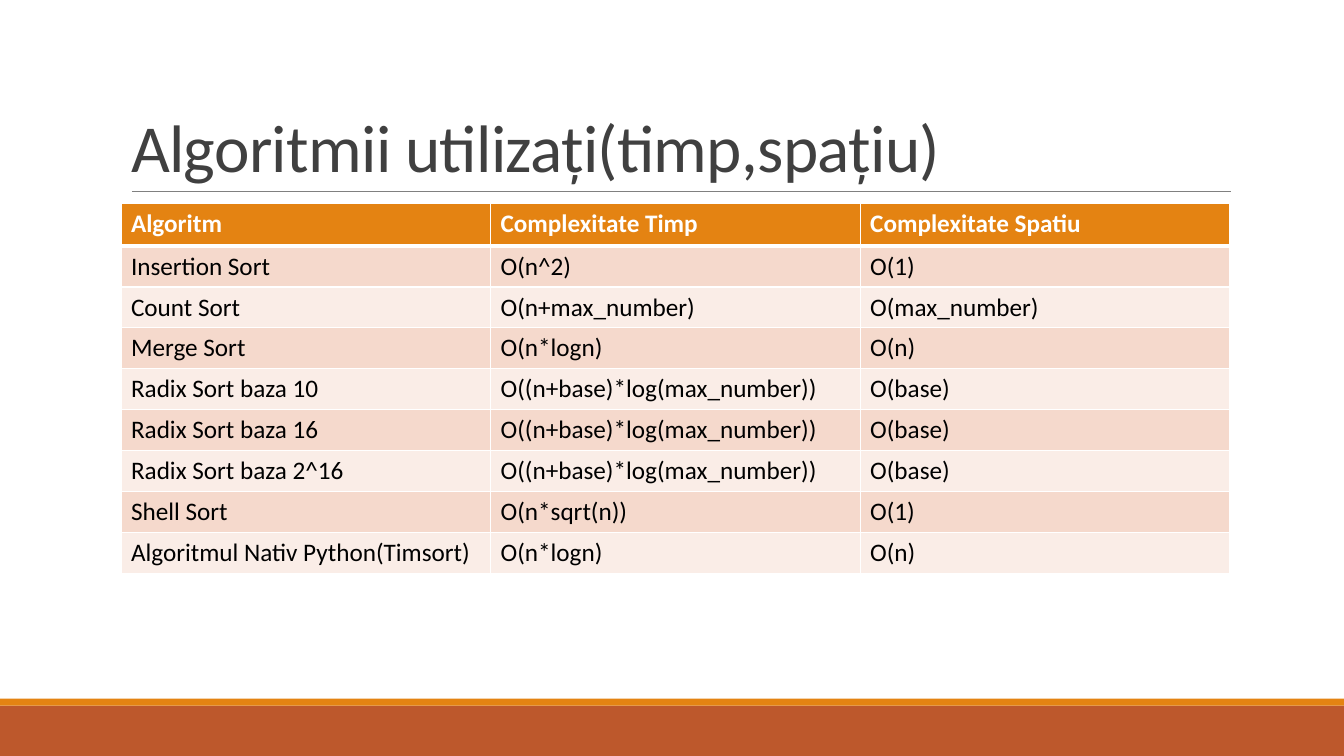
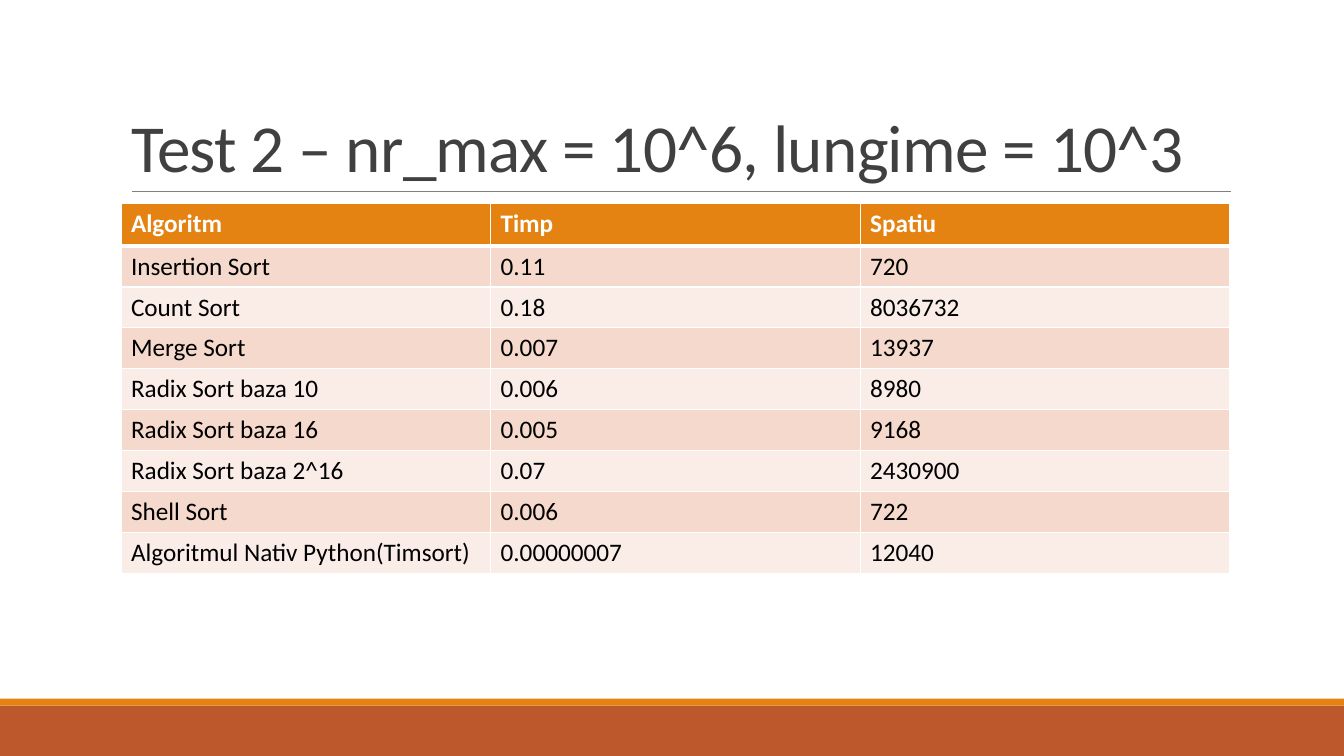
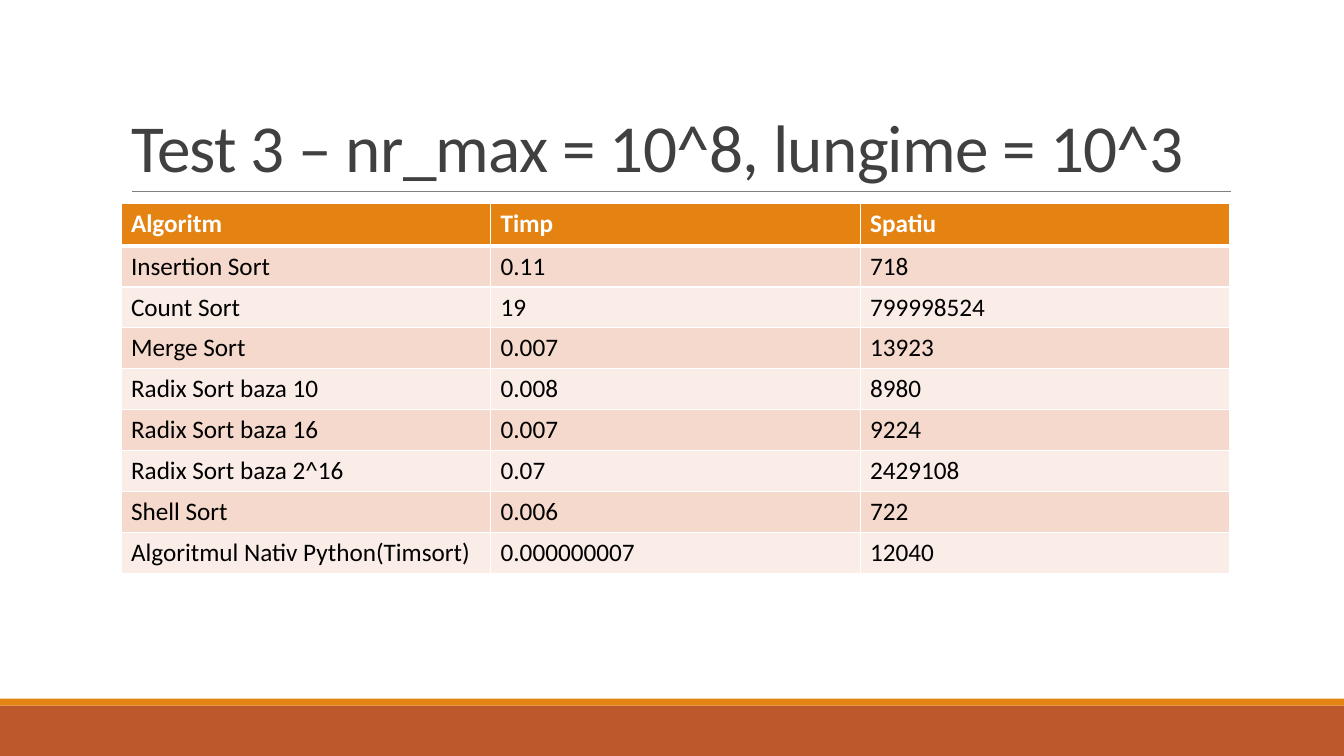
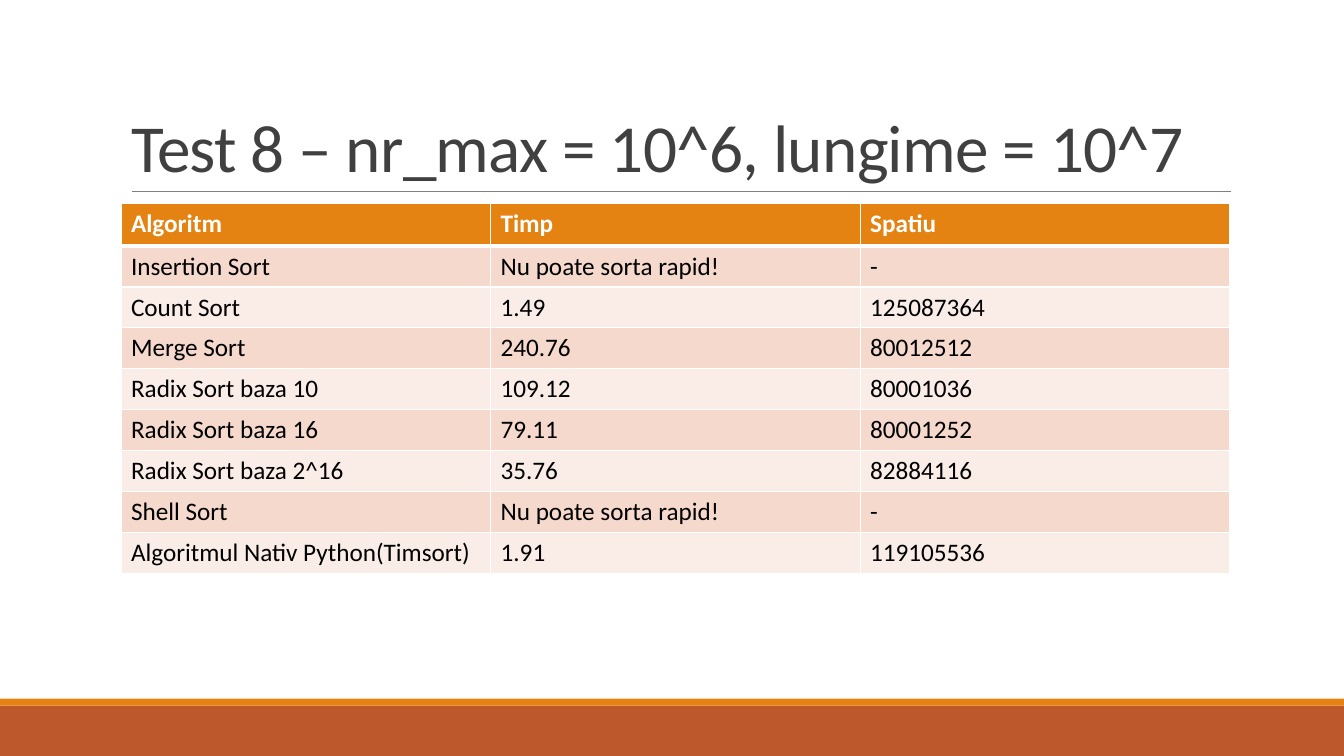
from lxml import etree
from pptx import Presentation
from pptx.dml.color import RGBColor
from pptx.enum import shapes, text
from pptx.oxml import ns
from pptx.util import Pt

# Content
ALGORITHMS = ["Insertion Sort", "Count Sort", "Merge Sort", "Radix Sort baza 10",
              "Radix Sort baza 16", "Radix Sort baza 2^16", "Shell Sort",
              "Algoritmul Nativ Python(Timsort)"]
RADIX_TIME = "O((n+base)*log(max_number))"
TOO_SLOW = "Nu poate sorta rapid!"
MEASURES = ("Timp", "Spatiu")

SLIDES = [
    {"title": "Algoritmii utilizați(timp,spațiu)",
     "measures": ("Complexitate Timp", "Complexitate Spatiu"),
     "time": ["O(n^2)", "O(n+max_number)", "O(n*logn)", RADIX_TIME, RADIX_TIME, RADIX_TIME,
              "O(n*sqrt(n))", "O(n*logn)"],
     "space": ["O(1)", "O(max_number)", "O(n)", "O(base)", "O(base)", "O(base)", "O(1)", "O(n)"]},
    {"title": "Test 2 – nr_max = 10^6, lungime = 10^3",
     "measures": MEASURES,
     "time": ["0.11", "0.18", "0.007", "0.006", "0.005", "0.07", "0.006", "0.00000007"],
     "space": ["720", "8036732", "13937", "8980", "9168", "2430900", "722", "12040"]},
    {"title": "Test 3 – nr_max = 10^8, lungime = 10^3",
     "measures": MEASURES,
     "time": ["0.11", "19", "0.007", "0.008", "0.007", "0.07", "0.006", "0.000000007"],
     "space": ["718", "799998524", "13923", "8980", "9224", "2429108", "722", "12040"]},
    {"title": "Test 8 – nr_max = 10^6, lungime = 10^7",
     "measures": MEASURES,
     "time": [TOO_SLOW, "1.49", "240.76", "109.12", "79.11", "35.76", TOO_SLOW, "1.91"],
     "space": ["-", "125087364", "80012512", "80001036", "80001252", "82884116", "-",
               "119105536"]},
]

# Shared look, lengths in points
WIDTH, HEIGHT = 960, 540
LEFT, CONTENT_WIDTH = 86.4, 792
TITLE_TOP, RULE_TOP = 22.4, 136.8
RULE_LEFT, RULE_RIGHT = 94.3, 879.1
TABLE_TOP, HEADER_HEIGHT, ROW_HEIGHT = 145.5, 30.25, 29.25
BANDS = [(504, 36, "BD582C"), (499, 5, "E48312")]
WHITE, RULE_COLOR = "FFFFFF", "808080"
HEADER_FILL, ROW_FILLS = "E48312", ("F5D9CC", "FAEDE7")
TITLE_FONT = {"name": "Calibri", "size": Pt(48), "bold": False, "color": "404040"}
HEADER_FONT = {"name": "Calibri", "size": Pt(18), "bold": True, "color": WHITE}
BODY_FONT = {**HEADER_FONT, "bold": False, "color": "000000"}


def rgb(value):
    return RGBColor.from_string(value)


def write(frame, words, font):
    paragraph = frame.paragraphs[0]
    paragraph.alignment = text.PP_ALIGN.LEFT
    run = paragraph.add_run()
    run.text = words
    for name, value in font.items():
        if name == "color":
            run.font.color.rgb = rgb(value)
        else:
            setattr(run.font, name, value)
    return paragraph, run


def add_frame(slide):
    # Bottom bands
    for top, height, color in BANDS:
        band = slide.shapes.add_shape(shapes.MSO_SHAPE.RECTANGLE,
                                      0, Pt(top), Pt(WIDTH), Pt(height))
        band.shadow.inherit = False
        band.fill.solid()
        band.fill.fore_color.rgb = rgb(color)
        band.line.fill.background()
    # Rule under the title
    rule = slide.shapes.add_connector(shapes.MSO_CONNECTOR.STRAIGHT, Pt(RULE_LEFT),
                                      Pt(RULE_TOP), Pt(RULE_RIGHT), Pt(RULE_TOP))
    rule.line.color.rgb = rgb(RULE_COLOR)
    rule.line.width = Pt(0.5)
    etree.SubElement(rule._element.spPr, ns.qn("a:effectLst"))


def set_title(slide, words):
    title = slide.shapes.title
    title.left, title.top = Pt(LEFT), Pt(TITLE_TOP)
    title.width, title.height = Pt(CONTENT_WIDTH), Pt(RULE_TOP - TITLE_TOP)
    frame = title.text_frame
    frame.auto_size = text.MSO_AUTO_SIZE.NONE
    frame.vertical_anchor = text.MSO_ANCHOR.BOTTOM
    paragraph, run = write(frame, words, TITLE_FONT)
    paragraph.line_spacing = 0.85
    run._r.get_or_add_rPr().set("spc", "-50")


def set_borders(cell, **widths):
    properties = cell._tc.get_or_add_tcPr()
    for side in "LRTB":
        line = etree.SubElement(properties, ns.qn(f"a:ln{side}"), w=str(Pt(widths.get(side, 1))))
        fill = etree.SubElement(line, ns.qn("a:solidFill"))
        etree.SubElement(fill, ns.qn("a:srgbClr"), val=WHITE)


def add_results(slide, rows):
    height = HEADER_HEIGHT + ROW_HEIGHT * (len(rows) - 1)
    table = slide.shapes.add_table(len(rows), len(rows[0]), Pt(LEFT), Pt(TABLE_TOP),
                                   Pt(CONTENT_WIDTH), Pt(height)).table
    table.horz_banding = False
    for i, row in enumerate(rows):
        table.rows[i].height = Pt(ROW_HEIGHT if i else HEADER_HEIGHT)
        for j, words in enumerate(row):
            cell = table.cell(i, j)
            # The thick line lies between the header and the first row
            set_borders(cell, B=3 if i == 0 else 1, T=3 if i == 1 else 1)
            cell.fill.solid()
            cell.fill.fore_color.rgb = rgb(ROW_FILLS[(i - 1) % 2] if i else HEADER_FILL)
            write(cell.text_frame, words, BODY_FONT if i else HEADER_FONT)


def main():
    presentation = Presentation()
    presentation.slide_width, presentation.slide_height = Pt(WIDTH), Pt(HEIGHT)
    for content in SLIDES:
        slide = presentation.slides.add_slide(presentation.slide_layouts[5])
        add_frame(slide)
        set_title(slide, content["title"])
        header = ("Algoritm", *content["measures"])
        add_results(slide, [header, *zip(ALGORITHMS, content["time"], content["space"])])
    presentation.save("out.pptx")


if __name__ == "__main__":
    main()
